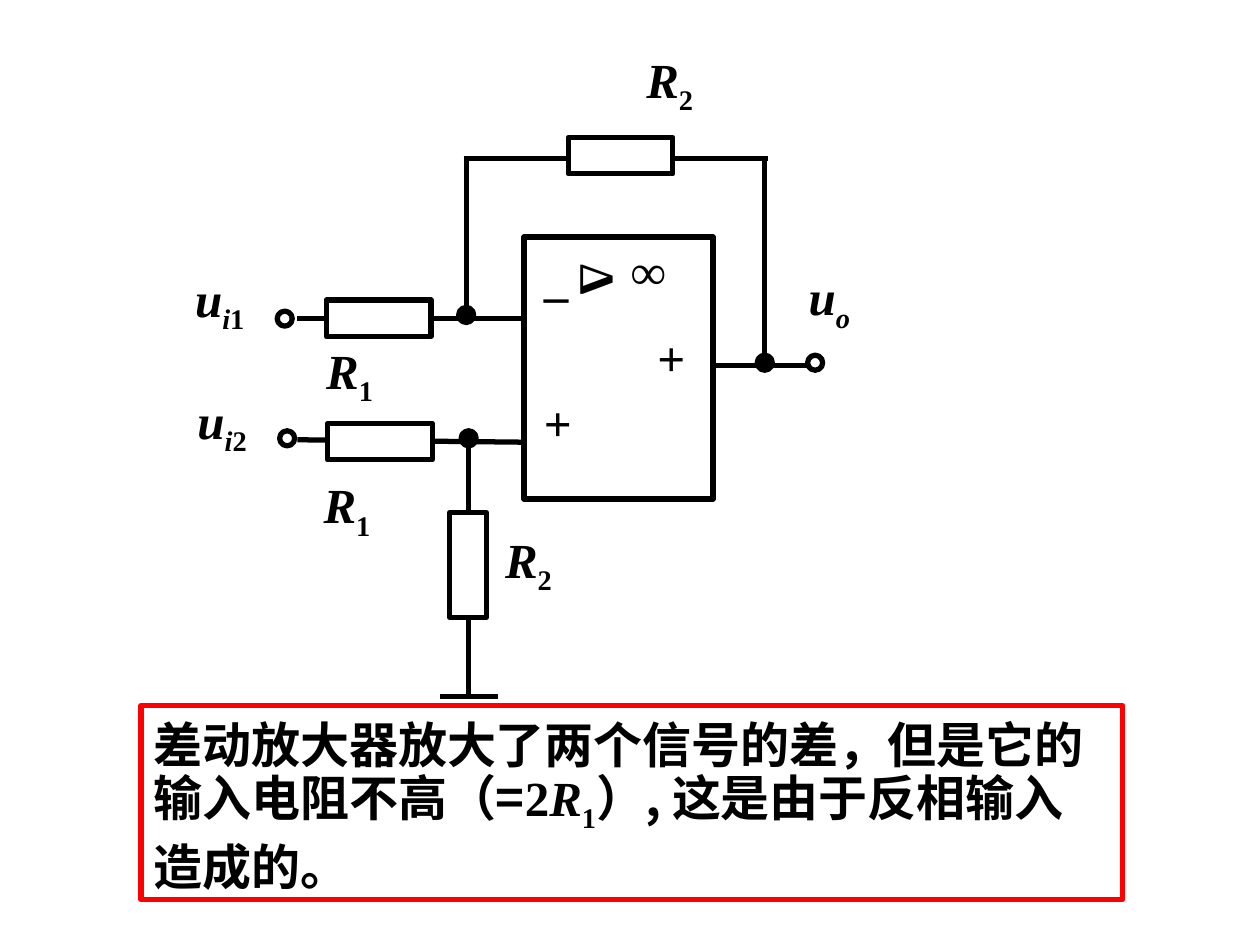
import pptx
import pptx.util
import pptx.dml.color
import pptx.enum.shapes
import pptx.enum.text
import pptx.oxml.ns
import lxml.etree
from typing import NamedTuple

Pt = pptx.util.Pt
MSO = pptx.enum.shapes.MSO_SHAPE
COLORS = {"ink": "000000", "paper": "FFFFFF", "frame": "FF0000"}
LATIN, CJK = "Times New Roman", "Noto Sans CJK SC"
LINE_WIDTH, FONT_SIZE, DOT, LABEL_HEIGHT = 3, 28, 8.6, 41


class Wire(NamedTuple):
    x1: float
    y1: float
    x2: float
    y2: float


class Box(NamedTuple):
    x: float
    y: float
    w: float
    h: float


class Node(NamedTuple):
    x: float
    y: float
    filled: bool


class Run(NamedTuple):
    text: str
    italic: bool = False
    sub: bool = False
    font: str = LATIN


class Label(NamedTuple):
    x: float
    y: float
    w: float
    runs: list[Run]
    rotation: float = 0


def resistor(n: str) -> list[Run]:
    return [Run("R", True), Run(n, sub=True)]


def voltage(letter: str, n: str = "") -> list[Run]:
    runs = [Run("u", True), Run(letter, True, True)]
    return runs + [Run(n, sub=True)] if n else runs


WIRES = [
    Wire(407.5, 208.8, 461.5, 208.8),
    Wire(169.9, 182.2, 301, 182.2),
    Wire(169.9, 251.3, 299.5, 252.7),
    Wire(265, 90.7, 439, 90.7),
    Wire(437, 90.7, 437, 210.2),
    Wire(266.4, 90.7, 266.4, 182.9),
    Wire(267.8, 251.3, 267.8, 399.6),
    Wire(251.3, 398.2, 284.4, 398.2),
]
AMPLIFIER = Box(299.5, 135.4, 108, 149.8)
RESISTORS = [
    Box(324.7, 78.5, 59.8, 20.9),
    Box(186.5, 171.4, 59.8, 20.9),
    Box(187.2, 241.9, 59.8, 20.9),
    Box(257, 293, 20.9, 59.8),
]
NODES = [
    Node(158.4, 177.8, False),
    Node(159.8, 246.2, False),
    Node(461.5, 203, False),
    Node(262.1, 175.7, True),
    Node(263.5, 246.2, True),
    Node(432.7, 203, True),
]
LABELS = [
    Label(303.8, 138.2, 31.7, [Run("_")]),
    Label(303.8, 221, 31.7, [Run("+")]),
    Label(321.1, 145.4, 43.2, [Run("Δ")], 90),
    Label(368.6, 183.6, 31.7, [Run("+")]),
    Label(353.5, 133.9, 88.6, [Run("∞")]),
    Label(362.2, 24.5, 66.2, resistor("2")),
    Label(179.3, 190.8, 66.2, resistor("1")),
    Label(177.8, 267.8, 66.2, resistor("1")),
    Label(281.5, 298.8, 66.2, resistor("2")),
    Label(104.4, 149.8, 103.7, voltage("i", "1")),
    Label(105.8, 219.6, 103.7, voltage("i", "2")),
    Label(455, 149, 64.8, voltage("o")),
]
CONCLUSION_BOX = Box(80.6, 403.2, 560.9, 110.9)
CONCLUSION = [
    Run("差动放大器放大了两个信号的差，但是它的输入电阻不高（=", font=CJK),
    Run("2"),
    *resistor("1"),
    Run("）, 这是由于反相输入造成的。", font=CJK),
]


def rgb(name: str) -> pptx.dml.color.RGBColor:
    return pptx.dml.color.RGBColor.from_string(COLORS[name])


def add_wire(shapes, wire: Wire) -> None:
    c = shapes.add_connector(
        pptx.enum.shapes.MSO_CONNECTOR.STRAIGHT, *(Pt(v) for v in wire))
    c.line.color.rgb = rgb("ink")
    c.line.width = Pt(LINE_WIDTH)
    lxml.etree.SubElement(c._element.spPr, pptx.oxml.ns.qn("a:effectLst"))


def add_outline(shapes, kind, box: Box, fill: str = "", line: str = "ink"):
    sp = shapes.add_shape(kind, *(Pt(v) for v in box))
    sp.shadow.inherit = False
    if fill:
        sp.fill.solid()
        sp.fill.fore_color.rgb = rgb(fill)
    else:
        sp.fill.background()
    sp.line.color.rgb = rgb(line)
    sp.line.width = Pt(LINE_WIDTH)
    return sp


def write_runs(tf, runs: list[Run]):
    tf.word_wrap = True
    tf.vertical_anchor = pptx.enum.text.MSO_ANCHOR.TOP
    p = tf.paragraphs[0]
    p.alignment = pptx.enum.text.PP_ALIGN.LEFT
    p.font.size = Pt(FONT_SIZE)
    p.font.bold = True
    p.font.color.rgb = rgb("ink")
    for run in runs:
        r = p.add_run()
        r.text = run.text
        r.font.name = run.font
        r.font.italic = run.italic
        rPr = r.font._element
        if run.sub:
            rPr.set("baseline", "-25000")
        if run.font == CJK:
            ea = lxml.etree.SubElement(rPr, pptx.oxml.ns.qn("a:ea"))
            ea.set("typeface", CJK)
    return p


def add_label(shapes, label: Label) -> None:
    sp = shapes.add_textbox(Pt(label.x), Pt(label.y), Pt(label.w), Pt(LABEL_HEIGHT))
    sp.rotation = label.rotation
    write_runs(sp.text_frame, label.runs)


def main() -> None:
    prs = pptx.Presentation()
    prs.slide_width, prs.slide_height = Pt(720), Pt(540)
    shapes = prs.slides.add_slide(prs.slide_layouts[6]).shapes
    add_outline(shapes, MSO.RECTANGLE, AMPLIFIER)
    for wire in WIRES:
        add_wire(shapes, wire)
    for box in RESISTORS:
        add_outline(shapes, MSO.RECTANGLE, box, "paper")
    for node in NODES:
        add_outline(shapes, MSO.OVAL, Box(node.x, node.y, DOT, DOT),
                    "ink" if node.filled else "")
    for label in LABELS:
        add_label(shapes, label)
    sp = add_outline(shapes, MSO.RECTANGLE, CONCLUSION_BOX, line="frame")
    p = write_runs(sp.text_frame, CONCLUSION)
    p.line_spacing = Pt(35)
    prs.save("out.pptx")


if __name__ == "__main__":
    main()
